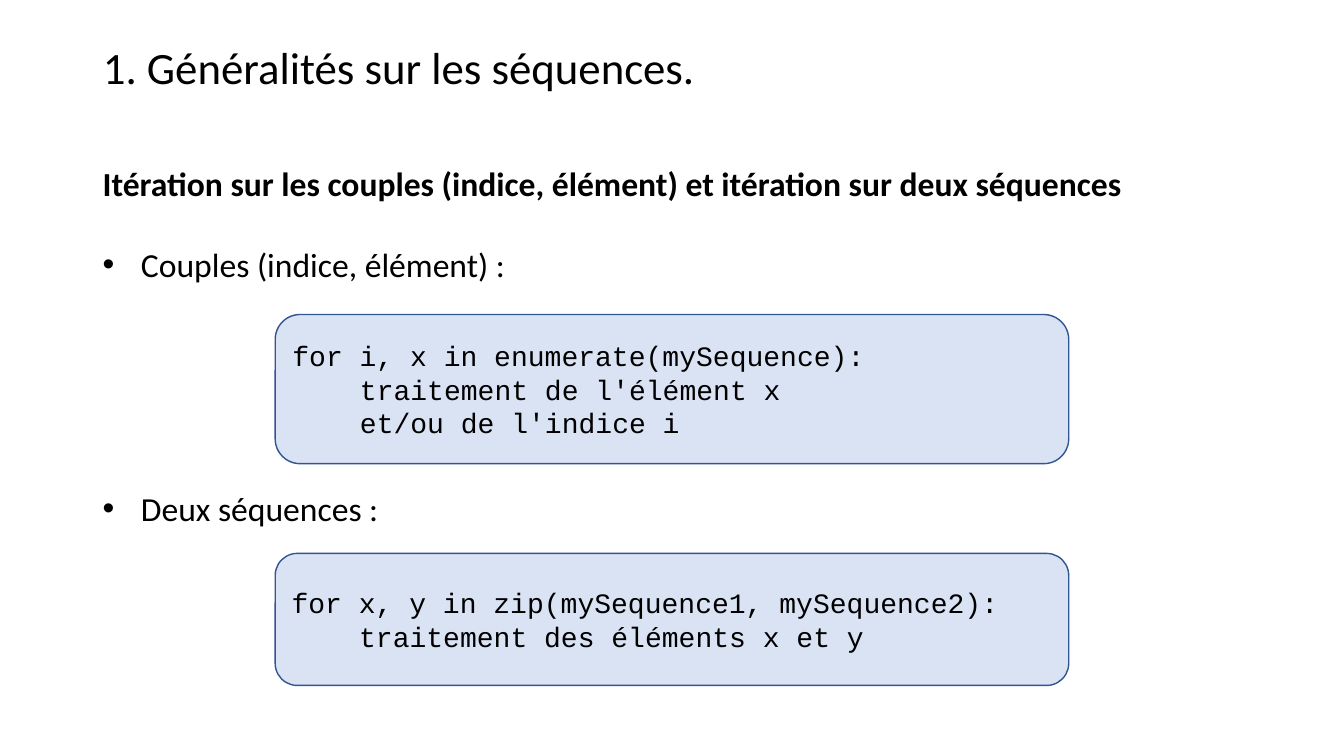
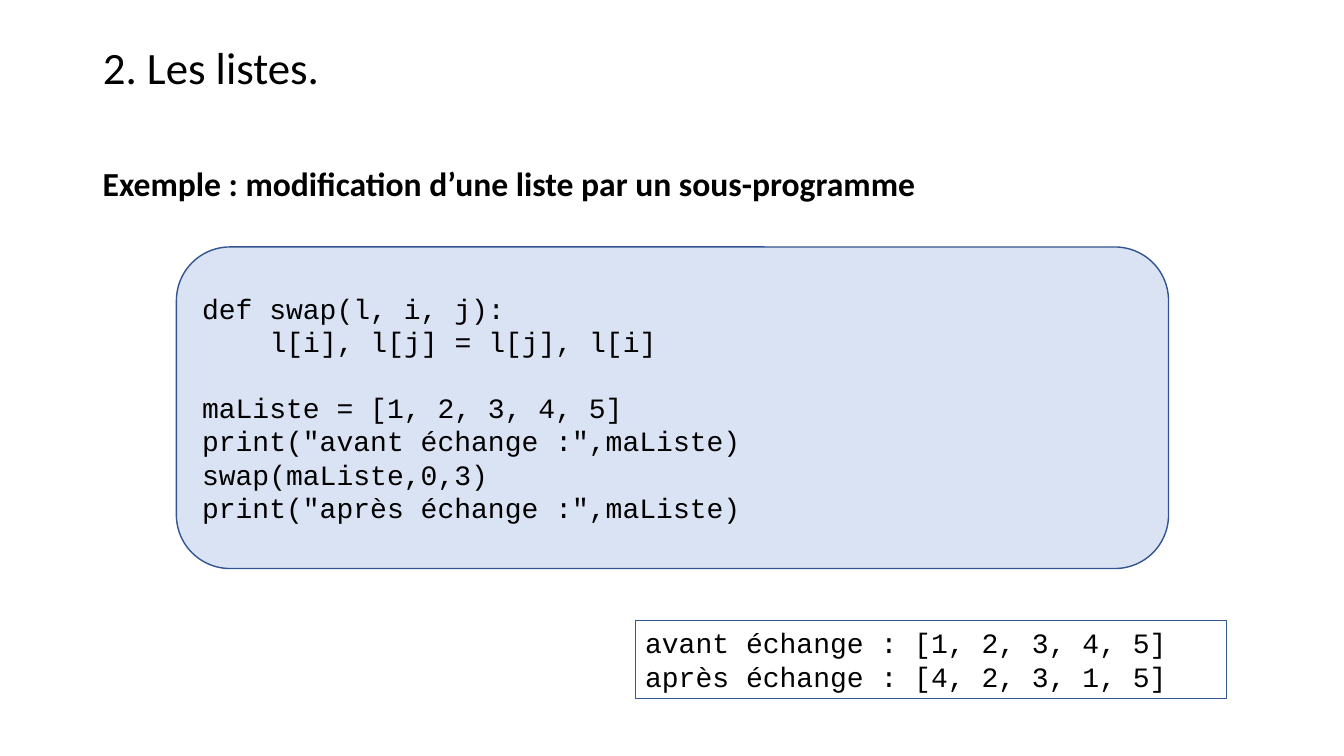
from dataclasses import dataclass

from lxml import etree
from pptx import Presentation
from pptx.dml.color import RGBColor
from pptx.enum import shapes, text
from pptx.oxml.ns import qn
from pptx.util import Inches, Pt

BLACK, PALE_BLUE, BLUE = "000000", "DAE3F3", "325491"
BODY_FONT, CODE_FONT = "Calibri", "Courier New"
LEFT, WIDTH = 0.92, 11.5
BULLET_INDENT, CODE_INDENT = 0.38, 0.67
CODE_SIZE, CODE_LINE = 20, 22.66


@dataclass
class Line:
    text: str
    indented: bool = False
    gap: float = 0


@dataclass
class CodeBox:
    left: float
    top: float
    width: float
    height: float
    lines: list[Line]
    output: bool = False


@dataclass
class Page:
    title: str
    heading: str
    bullets: list[Line]
    boxes: list[CodeBox]


PAGES = [
    Page(
        "1. Généralités sur les séquences.",
        "Itération sur les couples (indice, élément) et itération sur deux séquences",
        [Line("Couples (indice, élément) :", gap=29), Line("Deux séquences :", gap=145)],
        [
            CodeBox(2.73, 3.12, 7.87, 1.48, [
                Line("for i, x in enumerate(mySequence):"),
                Line("traitement de l'élément x", True),
                Line("et/ou de l'indice i", True),
            ]),
            CodeBox(2.73, 5.49, 7.87, 1.31, [
                Line("for x, y in zip(mySequence1, mySequence2):"),
                Line("traitement des éléments x et y", True),
            ]),
        ],
    ),
    Page(
        "2. Les listes.",
        "Exemple : modification d’une liste par un sous-programme",
        [],
        [
            CodeBox(1.75, 2.45, 9.84, 3.19, [
                Line("def swap(l, i, j):"),
                Line("l[i], l[j] = l[j], l[i]", True),
                Line("maListe = [1, 2, 3, 4, 5]", gap=CODE_LINE),
                Line('print("avant échange :",maListe)'),
                Line("swap(maListe,0,3)"),
                Line('print("après échange :",maListe)'),
            ]),
            CodeBox(6.3, 6.16, 5.87, 0.77, [
                Line("avant échange : [1, 2, 3, 4, 5]"),
                Line("après échange : [4, 2, 3, 1, 5]"),
            ], output=True),
        ],
    ),
]


def color(value: str) -> RGBColor:
    return RGBColor.from_string(value)


def add_run(p, content: str, font: str, size: float, bold: bool = False) -> None:
    r = p.add_run()
    r.text = content
    r.font.name, r.font.size, r.font.bold = font, Pt(size), bold
    r.font.color.rgb = color(BLACK)


def next_paragraph(tf, first: bool, gap: float = 0):
    p = tf.paragraphs[0] if first else tf.add_paragraph()
    p.alignment = text.PP_ALIGN.LEFT
    p.space_before = Pt(gap)
    return p


def set_bullet(p) -> None:
    props = p._p.get_or_add_pPr()
    props.set("marL", str(Inches(BULLET_INDENT)))
    props.set("indent", str(-Inches(BULLET_INDENT)))
    etree.SubElement(props, qn("a:buFont"), typeface="Arial")
    etree.SubElement(props, qn("a:buChar"), char="•")


def add_title(s, title: str) -> None:
    sp = s.shapes.title
    sp.left, sp.top = Inches(LEFT), Inches(0.4)
    sp.width, sp.height = Inches(WIDTH), Inches(0.63)
    tf = sp.text_frame
    tf.word_wrap = True
    tf.auto_size = text.MSO_AUTO_SIZE.NONE
    tf.vertical_anchor = text.MSO_ANCHOR.TOP
    p = next_paragraph(tf, True)
    p.line_spacing = 0.9
    add_run(p, title, BODY_FONT, 32)


def add_body(s, heading: str, bullets: list[Line]) -> None:
    height = 3.74 if bullets else 0.5
    sp = s.shapes.add_textbox(Inches(LEFT), Inches(1.57), Inches(WIDTH), Inches(height))
    tf = sp.text_frame
    tf.word_wrap = True
    tf.auto_size = text.MSO_AUTO_SIZE.SHAPE_TO_FIT_TEXT
    add_run(next_paragraph(tf, True), heading, BODY_FONT, 24, bold=True)
    for bullet in bullets:
        p = next_paragraph(tf, False, bullet.gap)
        set_bullet(p)
        add_run(p, bullet.text, BODY_FONT, 24)


def add_code(s, box: CodeBox) -> None:
    kind = shapes.MSO_SHAPE.RECTANGLE if box.output else shapes.MSO_SHAPE.ROUNDED_RECTANGLE
    sp = s.shapes.add_shape(
        kind, Inches(box.left), Inches(box.top), Inches(box.width), Inches(box.height)
    )
    sp.shadow.inherit = False
    sp.line.color.rgb = color(BLUE)
    sp.line.width = Pt(0.75 if box.output else 1)
    tf = sp.text_frame
    tf.word_wrap = True
    if box.output:
        sp.fill.background()
        tf.vertical_anchor = text.MSO_ANCHOR.TOP
        tf.auto_size = text.MSO_AUTO_SIZE.SHAPE_TO_FIT_TEXT
    else:
        sp.fill.solid()
        sp.fill.fore_color.rgb = color(PALE_BLUE)
        tf.vertical_anchor = text.MSO_ANCHOR.MIDDLE
    for i, line in enumerate(box.lines):
        p = next_paragraph(tf, i == 0, line.gap)
        if line.indented:
            p._p.get_or_add_pPr().set("marL", str(Inches(CODE_INDENT)))
        add_run(p, line.text, CODE_FONT, CODE_SIZE)


def main() -> None:
    prs = Presentation()
    prs.slide_width, prs.slide_height = Inches(13.33), Inches(7.5)
    title_only = prs.slide_layouts[5]
    for page in PAGES:
        s = prs.slides.add_slide(title_only)
        add_title(s, page.title)
        add_body(s, page.heading, page.bullets)
        for box in page.boxes:
            add_code(s, box)
    prs.save("out.pptx")


if __name__ == "__main__":
    main()
